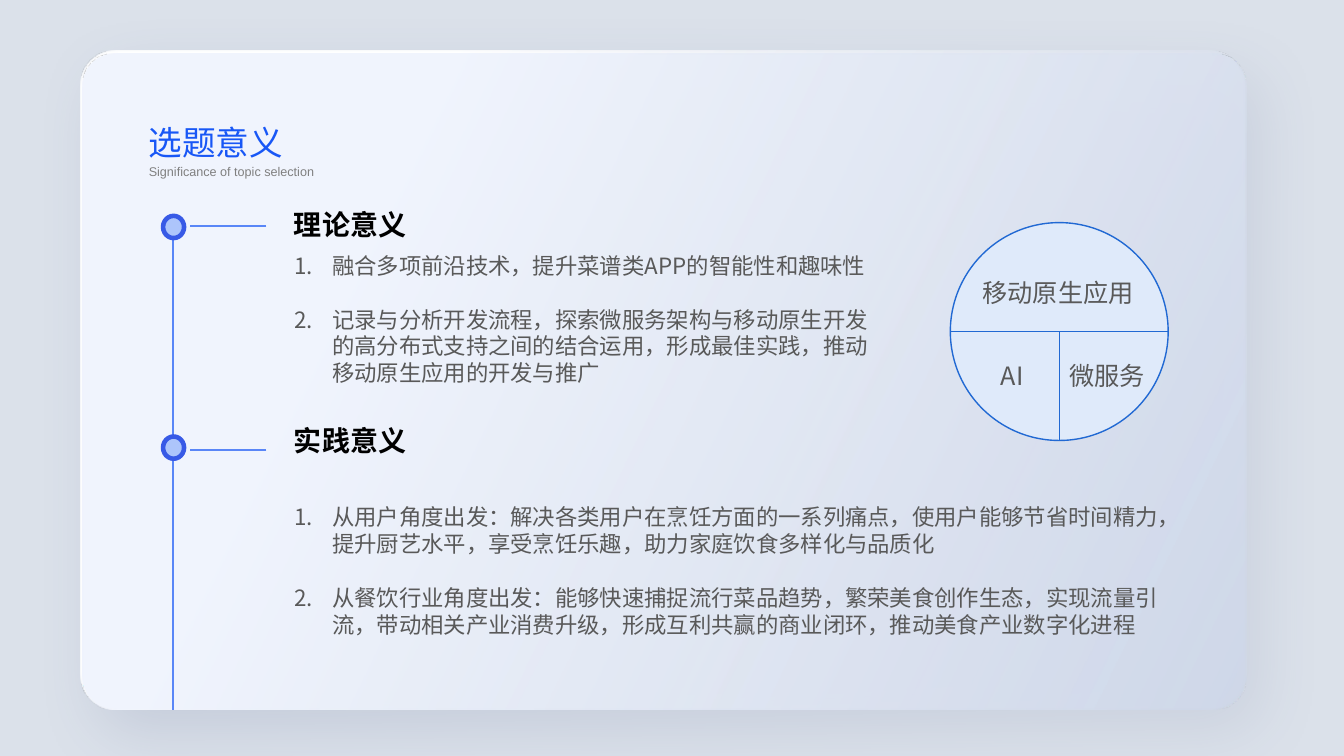
from dataclasses import dataclass

from lxml import etree
from pptx import Presentation
from pptx.dml.color import RGBColor
from pptx.enum.lang import MSO_LANGUAGE_ID
from pptx.enum.shapes import MSO_CONNECTOR, MSO_SHAPE
from pptx.enum.text import MSO_ANCHOR, MSO_AUTO_SIZE, PP_ALIGN
from pptx.oxml.ns import qn
from pptx.util import Cm, Pt

RECT, ROUND_RECT, OVAL = MSO_SHAPE.RECTANGLE, MSO_SHAPE.ROUNDED_RECTANGLE, MSO_SHAPE.OVAL
STRAIGHT = MSO_CONNECTOR.STRAIGHT
LEFT, TOP = PP_ALIGN.LEFT, MSO_ANCHOR.TOP
NO_AUTOFIT = MSO_AUTO_SIZE.NONE
CHINESE = MSO_LANGUAGE_ID.SIMPLIFIED_CHINESE


@dataclass(frozen=True)
class Theme:
    latin: str = "Arial"
    cjk: str = "Noto Sans CJK SC"
    backdrop: str = "DBE1EA"
    white: str = "FFFFFF"
    card_light: str = "F0F4FD"
    card_dark: str = "CFD8E9"
    shadow: str = "324274"
    title: str = "1857F6"
    subtitle: str = "808080"
    heading: str = "000000"
    body: str = "595959"
    timeline: str = "5986F7"
    dot: str = "ADC5FB"
    dot_edge: str = "385AE6"
    circle: str = "DFEAFA"
    circle_edge: str = "2169D3"
    title_size: int = 24
    heading_size: int = 20
    label_size: int = 18
    body_size: int = 16
    subtitle_size: int = 9
    leading: float = 1.2


THEME = Theme()

# heading, items, heading top, branch height, dot top, list top, list width
SECTIONS = [
    ("理论意义",
     ["融合多项前沿技术，提升菜谱类APP的智能性和趣味性",
      "记录与分析开发流程，探索微服务架构与移动原生开发的高分布式支持之间的结合运用，"
      "形成最佳实践，推动移动原生应用的开发与推广"],
     5.05, 5.69, 5.44, 6.17, 15.01),
    ("实践意义",
     ["从用户角度出发：解决各类用户在烹饪方面的一系列痛点，使用户能够节省时间精力，"
      "提升厨艺水平，享受烹饪乐趣，助力家庭饮食多样化与品质化",
      "从餐饮行业角度出发：能够快速捕捉流行菜品趋势，繁荣美食创作生态，实现流量引流，"
      "带动相关产业消费升级，形成互利共赢的商业闭环，推动美食产业数字化进程"],
     10.49, 11.33, 11.0, 12.5, 22.56),
]


def add_text(slide, text, box, size, color, font=THEME.latin, bold=False,
             wrap=True, numbered=False, leading=THEME.leading, holder=None):
    """Write a string or a list of paragraphs in a text box or placeholder."""
    left, top, width, height = map(Cm, box)
    if holder is None:
        holder = slide.shapes.add_textbox(left, top, width, height)
    else:
        holder.left, holder.top, holder.width, holder.height = left, top, width, height
        holder.element.getparent().append(holder.element)  # bring to front
    frame = holder.text_frame
    frame.word_wrap = wrap
    frame.auto_size = NO_AUTOFIT
    frame.vertical_anchor = TOP
    frame.margin_left = frame.margin_right = Cm(0.25)
    frame.margin_top, frame.margin_bottom = Cm(0.18), Cm(0.08)
    for index, line in enumerate([text] if isinstance(text, str) else text):
        paragraph = frame.add_paragraph() if index else frame.paragraphs[0]
        paragraph.alignment = LEFT
        paragraph.space_before = Pt(size * leading if index else 0)
        if leading:
            paragraph.line_spacing = Pt(size * leading)
        if numbered:
            properties = paragraph._p.get_or_add_pPr()
            properties.set("marL", str(Cm(0.96)))
            properties.set("indent", str(-Cm(0.96)))
            etree.SubElement(properties, qn("a:buFont"), typeface="+mj-lt")
            etree.SubElement(properties, qn("a:buAutoNum"), type="arabicPeriod")
        run = paragraph.add_run()
        run.text = line
        run.font.name, run.font.size, run.font.bold = font, Pt(size), bold
        run.font.color.rgb = RGBColor.from_string(color)
        run.font.language_id = CHINESE
        if font == THEME.cjk:
            run.font._element.find(qn("a:latin")).addnext(
                etree.Element(qn("a:ea"), typeface=font))
    return holder


def add_panel(slide, kind, box, fill=None, edge=None, edge_width=1):
    panel = slide.shapes.add_shape(kind, *map(Cm, box))
    panel.shadow.inherit = False
    if fill:
        panel.fill.solid()
        panel.fill.fore_color.rgb = RGBColor.from_string(fill)
    if edge:
        panel.line.color.rgb = RGBColor.from_string(edge)
        panel.line.width = Pt(edge_width)
    else:
        panel.line.fill.background()
    return panel


def add_card(slide, box, corner, start, end_alpha):
    card = add_panel(slide, ROUND_RECT, box)
    card.adjustments[0] = corner
    card.fill.gradient()
    card.fill.gradient_angle = 360 - 26
    stops = card.fill.gradient_stops
    for stop, color, position in zip(stops, (start, THEME.card_dark), (0.25, 0.99)):
        stop.color.rgb = RGBColor.from_string(color)
        stop.position = position
    end_color = list(card.element.iter(qn("a:srgbClr")))[-1]
    etree.SubElement(end_color, qn("a:alpha"), val=str(end_alpha * 1000))
    return card


def add_soft_shadow(card):
    effects = card.element.spPr.find(qn("a:effectLst"))
    shadow = etree.SubElement(effects, qn("a:outerShdw"), blurRad=str(Pt(45)),
                              dist=str(Pt(21)), dir=str(53 * 60000),
                              algn="tl", rotWithShape="0")
    color = etree.SubElement(shadow, qn("a:srgbClr"), val=THEME.shadow)
    etree.SubElement(color, qn("a:alpha"), val="13000")


def add_line(slide, start, end, color, width):
    line = slide.shapes.add_connector(STRAIGHT, *map(Cm, start + end))
    line.line.color.rgb = RGBColor.from_string(color)
    line.line.width = Pt(width)
    etree.SubElement(line.element.spPr, qn("a:effectLst"))


def add_section(slide, section, list_holder):
    heading, items, heading_top, branch_y, dot_top, list_top, list_width = section
    add_text(slide, items, (7.16, list_top, list_width, 3.68), THEME.body_size,
             THEME.body, font=THEME.cjk, numbered=True, holder=list_holder)
    add_text(slide, heading, (7.16, heading_top, 9.35, 1.12),
             THEME.heading_size, THEME.heading, bold=True)
    add_line(slide, (6.71, branch_y), (4.78, branch_y), THEME.timeline, 1.5)
    add_panel(slide, OVAL, (4.11, dot_top, 0.53, 0.56),
              THEME.dot, THEME.dot_edge, 3.25)


def add_topic_circle(slide, left, top, size):
    middle_x, middle_y = left + size / 2, top + size / 2
    add_panel(slide, OVAL, (left, top, size, size), THEME.circle, THEME.circle_edge)
    add_line(slide, (left, middle_y), (left + size, middle_y), THEME.circle_edge, 1)
    add_line(slide, (middle_x, top + size), (middle_x, middle_y), THEME.circle_edge, 1)
    for label, x, y, width in [("微服务", 26.7, 8.89, 2.44),
                               ("AI", 24.97, 8.89, 1.14),
                               ("移动原生应用", 24.51, 6.81, 4.37)]:
        add_text(slide, label, (x, y, width, 1.02), THEME.label_size,
                 THEME.body, font=THEME.cjk, wrap=False)


def main():
    deck = Presentation()
    deck.slide_width, deck.slide_height = Cm(33.87), Cm(19.05)
    slide = deck.slides.add_slide(deck.slide_layouts[3])
    title, *list_holders = slide.placeholders

    # Backdrop and layered card
    add_panel(slide, RECT, (0, 0, 33.87, 19.05), THEME.backdrop)
    add_soft_shadow(add_card(slide, (2.03, 1.27, 29.34, 16.61), 0.055, THEME.white, 68))
    add_card(slide, (2.08, 1.35, 29.34, 16.54), 0.051, THEME.card_light, 78)

    # Title
    add_text(slide, "Significance of topic selection", (3.5, 3.94, 4.72, 0.64),
             THEME.subtitle_size, THEME.subtitle, wrap=False, leading=None)
    add_text(slide, "选题意义", (3.5, 2.9, 6.02, 1.27), THEME.title_size,
             THEME.title, holder=title)

    # Timeline and its two sections
    add_line(slide, (4.37, 5.99), (4.37, 17.88), THEME.timeline, 1.5)
    for section, list_holder in zip(SECTIONS, list_holders):
        add_section(slide, section, list_holder)

    # Topic circle
    add_topic_circle(slide, 23.95, 5.61, 5.49)

    deck.save("out.pptx")


if __name__ == "__main__":
    main()
